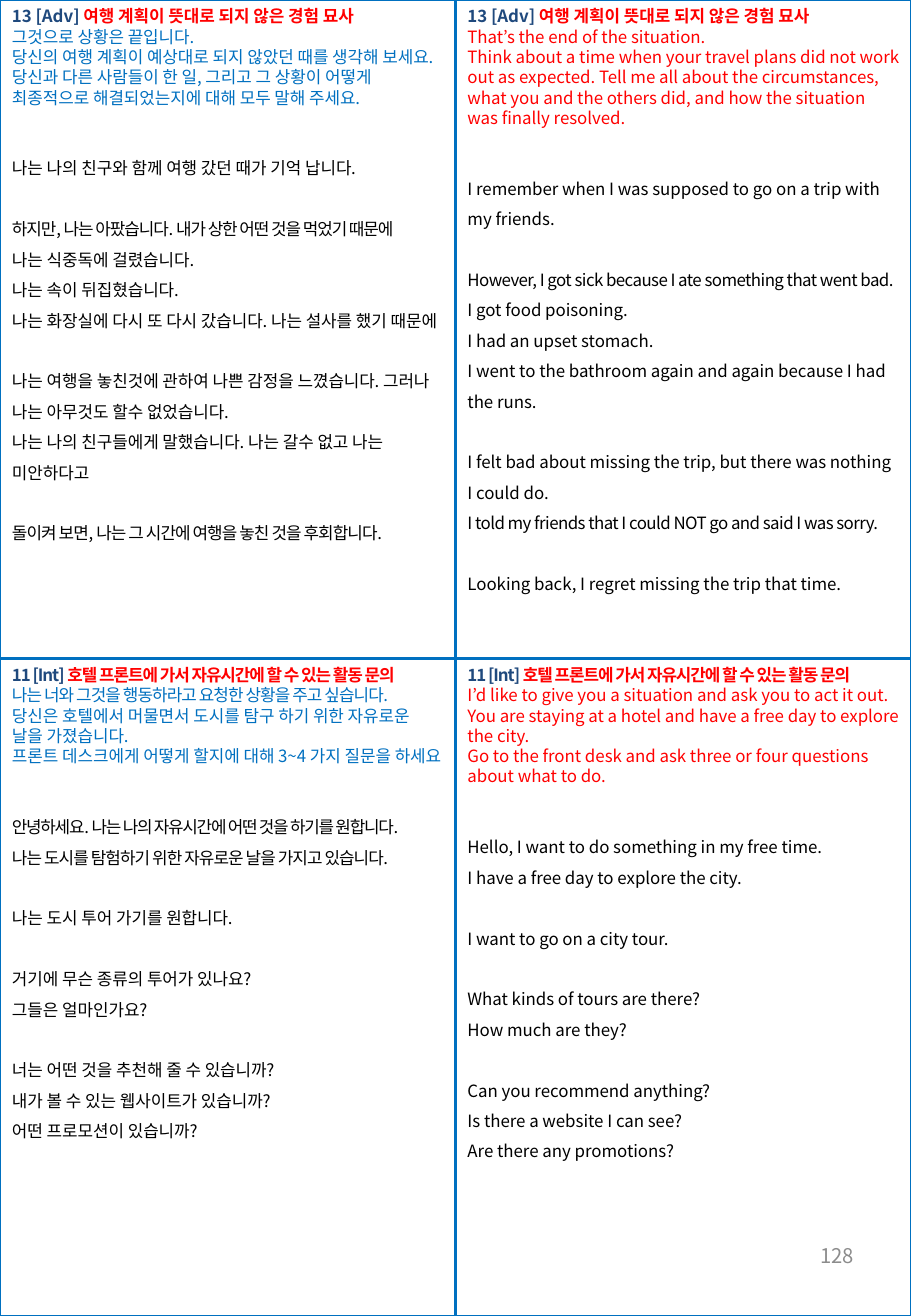
from pptx import Presentation
from pptx.dml.color import RGBColor
from pptx.enum.shapes import MSO_CONNECTOR, MSO_SHAPE
from pptx.enum.text import MSO_ANCHOR, MSO_AUTO_SIZE, PP_ALIGN
from pptx.oxml.ns import qn
from pptx.util import Inches, Pt
from lxml import etree

FONT = "Noto Sans CJK KR"
WIDTH, HEIGHT = 7.5, 10.83
COLUMN, ROW = WIDTH / 2, 5.42
BLUE, NAVY, RED, BLACK, GRAY = "0070C0", "1F497D", "FF0000", "000000", "8C8C8C"

# A line is a text, or a text with its letter spacing in points.
TRIP_TITLE = ("13 [Adv] ", "여행 계획이 뜻대로 되지 않은 경험 묘사", 0)
TRIP_KOREAN = [
    ["나는 나의 친구와 함께 여행 갔던 때가 기억 납니다."],
    [("하지만, 나는 아팠습니다. 내가 상한 어떤 것을 먹었기 때문에", -0.6),
     "나는 식중독에 걸렸습니다.",
     "나는 속이 뒤집혔습니다.",
     "나는 화장실에 다시 또 다시 갔습니다. 나는 설사를 했기 때문에"],
    ["나는 여행을 놓친것에 관하여 나쁜 감정을 느꼈습니다. 그러나 나는 아무것도 할수 없었습니다.",
     "나는 나의 친구들에게 말했습니다. 나는 갈수 없고 나는 미안하다고"],
    [("돌이켜 보면, 나는 그 시간에 여행을 놓친 것을 후회합니다.", -0.5)],
]
TRIP_ENGLISH = [
    ["I remember when I was supposed to go on a trip with my friends."],
    [("However, I got sick because I ate something that went bad.", -0.3),
     "I got food poisoning.",
     "I had an upset stomach.",
     "I went to the bathroom again and again because I had the runs."],
    ["I felt bad about missing the trip, but there was nothing I could do.",
     ("I told my friends that I could NOT go and said I was sorry.", -0.3)],
    ["Looking back, I regret missing the trip that time."],
]
HOTEL_TITLE = ("11 [Int] ", "호텔 프론트에 가서 자유시간에 할 수 있는 활동 문의", -0.6)
HOTEL_KOREAN = [
    [("안녕하세요. 나는 나의 자유시간에 어떤 것을 하기를 원합니다.", -0.7),
     ("나는 도시를 탐험하기 위한 자유로운 날을 가지고 있습니다.", -0.5)],
    ["나는 도시 투어 가기를 원합니다."],
    ["거기에 무슨 종류의 투어가 있나요?", "그들은 얼마인가요?"],
    ["너는 어떤 것을 추천해 줄 수 있습니까?",
     "내가 볼 수 있는 웹사이트가 있습니까?",
     "어떤 프로모션이 있습니까?"],
]
HOTEL_ENGLISH = [
    ["Hello, I want to do something in my free time.",
     "I have a free day to explore the city."],
    ["I want to go on a city tour."],
    ["What kinds of tours are there?", "How much are they?"],
    ["Can you recommend anything?",
     "Is there a website I can see?",
     "Are there any promotions?"],
]
# Column, row, height, title, prompt colour, prompt, answer groups
PANELS = [
    (0, 0, 4.95, TRIP_TITLE, BLUE,
     ["그것으로 상황은 끝입니다.",
      "당신의 여행 계획이 예상대로 되지 않았던 때를 생각해 보세요.\v"
      "당신과 다른 사람들이 한 일, 그리고 그 상황이 어떻게 최종적으로 해결되었는지에 대해 모두 말해 주세요."],
     TRIP_KOREAN),
    (1, 0, 4.95, TRIP_TITLE, RED,
     ["That’s the end of the situation.",
      "Think about a time when your travel plans did not work out as expected. Tell me all about "
      "the circumstances, what you and the others did, and how the situation was finally resolved."],
     TRIP_ENGLISH),
    (0, 1, 4.19, HOTEL_TITLE, BLUE,
     [("나는 너와 그것을 행동하라고 요청한 상황을 주고 싶습니다.", -0.5),
      "당신은 호텔에서 머물면서 도시를 탐구 하기 위한 자유로운 날을 가졌습니다.",
      "프론트 데스크에게 어떻게 할지에 대해 3~4 가지 질문을 하세요"],
     HOTEL_KOREAN),
    (1, 1, 4.19, HOTEL_TITLE, RED,
     ["I’d like to give you a situation and ask you to act it out.",
      "You are staying at a hotel and have a free day to explore the city.",
      "Go to the front desk and ask three or four questions about what to do."],
     HOTEL_ENGLISH),
]


def color(value):
    return RGBColor.from_string(value)


def style(span, fill, size=10, bold=False, spacing=0):
    span.font.name = FONT
    span.font.size = Pt(size)
    span.font.bold = bold
    span.font.color.rgb = color(fill)
    properties = span._r.get_or_add_rPr()
    etree.SubElement(properties, qn("a:ea")).set("typeface", FONT)
    if spacing:
        properties.set("spc", str(round(spacing * 100)))


def add_line(frame, line, fill, before=0, line_spacing=1.0):
    text, spacing = line if isinstance(line, tuple) else (line, 0)
    para = frame.add_paragraph()
    para.text = text
    para.font.size = Pt(10)
    para.line_spacing = line_spacing
    if before:
        para.space_before = Pt(before)
    for span in para.runs:
        style(span, fill, spacing=spacing)


def add_panel(page, left, top, height, title, prompt_color, prompt, groups):
    box = page.shapes.add_textbox(Inches(left), Inches(top), Inches(COLUMN), Inches(height))
    frame = box.text_frame
    frame.word_wrap = True
    frame.auto_size = MSO_AUTO_SIZE.SHAPE_TO_FIT_TEXT
    # Heading
    number, heading, spacing = title
    for text, fill in ((number, NAVY), (heading, RED)):
        span = frame.paragraphs[0].add_run()
        span.text = text
        style(span, fill, bold=True, spacing=spacing)
    # Question
    for line in prompt:
        add_line(frame, line, prompt_color)
    # Answer, one gap before each group
    for group_index, group in enumerate(groups):
        for line_index, line in enumerate(group):
            gap = 0 if line_index else (18 if group_index else 24)
            add_line(frame, line, BLACK, gap, 1.5)


def add_grid(page):
    for start, end in (((0, ROW), (WIDTH, ROW)), ((COLUMN, 0), (COLUMN, HEIGHT))):
        divider = page.shapes.add_connector(
            MSO_CONNECTOR.STRAIGHT, *(Inches(length) for length in start + end))
        divider.line.color.rgb = color(BLUE)
        divider.line.width = Pt(1.5)
        etree.SubElement(divider._element.spPr, qn("a:effectLst"))
    border = page.shapes.add_shape(MSO_SHAPE.RECTANGLE, 0, 0, Inches(WIDTH), Inches(HEIGHT))
    border.shadow.inherit = False
    border.fill.background()
    border.line.color.rgb = color(BLUE)
    border.line.width = Pt(1.5)


def add_page_number(page, left, top, width, height):
    box = page.shapes.add_textbox(Inches(left), Inches(top), Inches(width), Inches(height))
    frame = box.text_frame
    frame.word_wrap = True
    frame.vertical_anchor = MSO_ANCHOR.MIDDLE
    para = frame.paragraphs[0]
    para.text = "128"
    para.alignment = PP_ALIGN.RIGHT
    style(para.runs[0], GRAY, size=12)


def main():
    deck = Presentation()
    deck.slide_width, deck.slide_height = Inches(WIDTH), Inches(HEIGHT)
    page = deck.slides.add_slide(deck.slide_layouts[6])
    add_grid(page)
    add_page_number(page, 5.38, 10.04, 1.75, 0.58)
    for column, row, *content in PANELS:
        add_panel(page, column * COLUMN, row * ROW, *content)
    deck.save("out.pptx")


if __name__ == "__main__":
    main()
